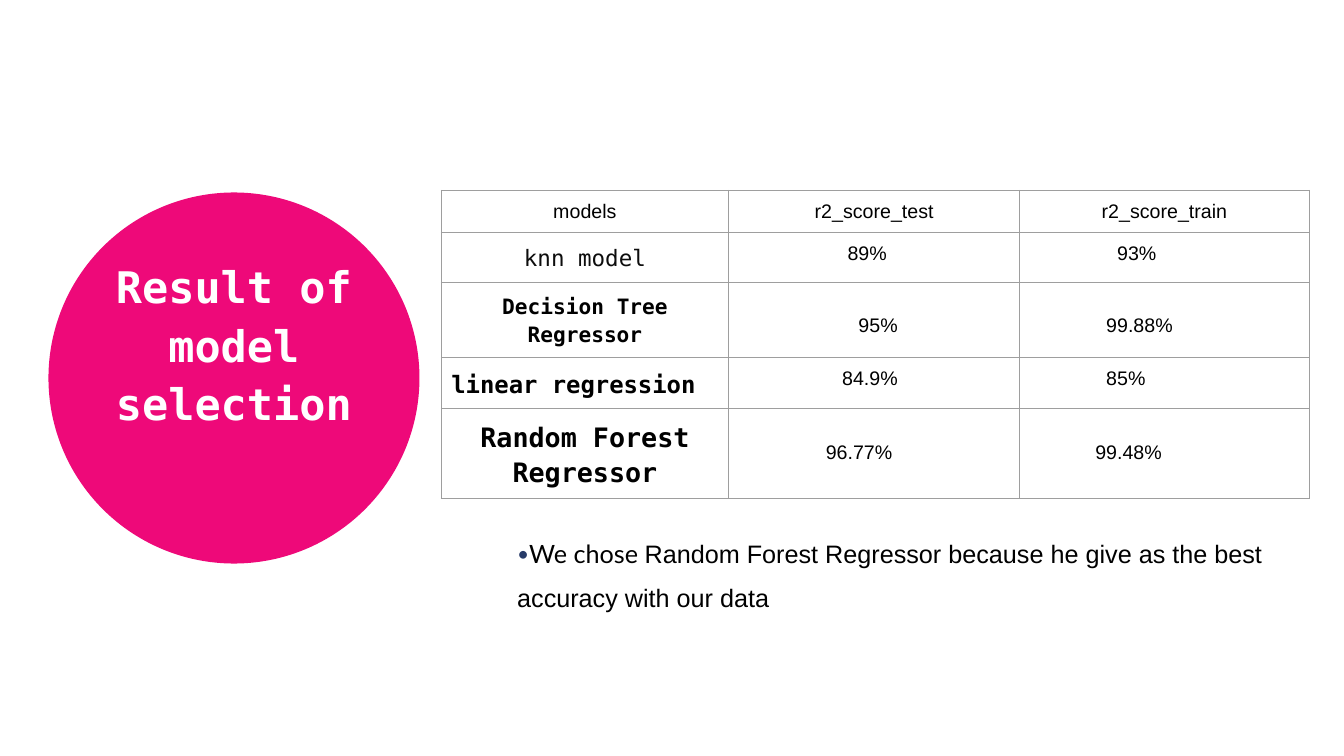
from lxml import etree
from pptx import Presentation
from pptx.dml.color import RGBColor
from pptx.enum.shapes import MSO_SHAPE
from pptx.enum.text import MSO_ANCHOR, MSO_AUTO_SIZE, PP_ALIGN
from pptx.oxml.ns import qn
from pptx.util import Pt

CENTER, LEFT = PP_ALIGN.CENTER, PP_ALIGN.LEFT
TOP, MIDDLE = MSO_ANCHOR.TOP, MSO_ANCHOR.MIDDLE
NO_AUTOFIT = MSO_AUTO_SIZE.NONE
ELLIPSE = MSO_SHAPE.OVAL
MONO, SANS, LATO = "DejaVu Sans Mono", "Arial", "Lato"
BLACK, WHITE, PINK, GREY, NAVY = "000000", "FFFFFF", "EE0979", "9E9E9E", "273B68"

COLUMN_WIDTHS = [205.2, 208.1, 206.6]
ROW_HEIGHTS = [30.2, 35, 53.6, 36.4, 63.6]
HEADERS = ["models", "r2_score_test", "r2_score_train"]
CELL_MARGIN = 7.2
SCORE_LINE = 16.1  # height of one line of scores
# name, size, bold, colour, alignment, scores, score indents, lines above the scores
MODELS = [
    ("knn model", 16.1, False, "0D0D0D", CENTER, ("89%", "93%"), (77.8, 62.3), 0),
    ("Decision Tree Regressor", 15.1, True, BLACK, CENTER,
     ("95%", "99.88%"), (85.6, 54.5), 1),
    ("linear regression", 17.1, True, BLACK, LEFT,
     ("84.9%", "85%"), (73.9, 54.5), 0),
    ("Random Forest Regressor", 19.1, True, BLACK, CENTER,
     ("96.77%", "99.48%"), (62.3, 46.7), 1),
]


def color(hex_string):
    return RGBColor.from_string(hex_string)


def format_run(run, size, font, hex_string, bold=False):
    run.font.size = Pt(size)
    run.font.name = font
    run.font.bold = bold
    run.font.color.rgb = color(hex_string)


def place(shape, left, top, width, height):
    shape.left, shape.top = Pt(left), Pt(top)
    shape.width, shape.height = Pt(width), Pt(height)


def prepare_frame(shape, anchor):
    """Remove the inner margins and fix the text size."""
    frame = shape.text_frame
    frame.word_wrap = True
    frame.auto_size = NO_AUTOFIT
    frame.vertical_anchor = anchor
    frame.margin_left = frame.margin_right = 0
    frame.margin_top = frame.margin_bottom = 0
    return frame


def add_circle(slide):
    circle = slide.shapes.add_shape(ELLIPSE, Pt(34.6), Pt(137.5), Pt(265), Pt(265))
    circle.shadow.inherit = False
    circle.fill.solid()
    circle.fill.fore_color.rgb = color(PINK)
    circle.line.fill.background()


def fill_title(slide):
    title = slide.shapes.title
    slide.shapes._spTree.append(title._element)  # in front of the circle
    place(title, 77, 179, 180, 130)
    frame = prepare_frame(title, MIDDLE)
    frame.text = "Result of model selection"
    para = frame.paragraphs[0]
    para.alignment = CENTER
    para.line_spacing = 1.12
    format_run(para.runs[0], 31.1, MONO, WHITE, True)


def add_bullet(para, hex_string, percent, font):
    properties = para._p.get_or_add_pPr()
    properties.set("marL", "0")
    properties.set("indent", "0")
    bullet_color = etree.SubElement(properties, qn("a:buClr"))
    etree.SubElement(bullet_color, qn("a:srgbClr"), val=hex_string)
    etree.SubElement(properties, qn("a:buSzPct"), val=str(percent * 1000))
    etree.SubElement(properties, qn("a:buFont"), typeface=font)
    etree.SubElement(properties, qn("a:buChar"), char="•")


def fill_conclusion(slide):
    body = slide.placeholders[1]
    place(body, 369.4, 375, 566, 70)
    para = prepare_frame(body, TOP).paragraphs[0]
    para.alignment = LEFT
    para.line_spacing = 1.44
    para.space_before = Pt(0)
    add_bullet(para, NAVY, 83, LATO)
    for text, font in [
        ("We chose ", LATO),
        ("Random Forest Regressor because he give as the best accuracy with our data", SANS),
    ]:
        run = para.add_run()
        run.text = text
        format_run(run, 18, font, BLACK)


def add_borders(cell, hex_string, width):
    properties = cell._tc.get_or_add_tcPr()
    for position, side in enumerate(["lnL", "lnR", "lnT", "lnB"]):
        line = etree.Element(qn("a:" + side), w=str(Pt(width)))
        fill = etree.SubElement(line, qn("a:solidFill"))
        etree.SubElement(fill, qn("a:srgbClr"), val=hex_string)
        properties.insert(position, line)


def fill_cell(cell, text, size=14, font=SANS, hex_string=BLACK, bold=False,
              alignment=CENTER, spacing=1, indent=0, drop=0):
    cell.fill.background()
    add_borders(cell, GREY, 0.75)
    cell.margin_left, cell.margin_right = Pt(CELL_MARGIN + indent), Pt(CELL_MARGIN)
    cell.margin_top, cell.margin_bottom = Pt(CELL_MARGIN + drop), Pt(CELL_MARGIN)
    cell.vertical_anchor = TOP
    cell.text_frame.text = text
    para = cell.text_frame.paragraphs[0]
    para.alignment = alignment
    para.line_spacing = spacing
    format_run(para.runs[0], size, font, hex_string, bold)


def add_score_table(slide):
    frame = slide.shapes.add_table(
        len(ROW_HEIGHTS), len(COLUMN_WIDTHS), Pt(315.2), Pt(136),
        Pt(sum(COLUMN_WIDTHS)), Pt(sum(ROW_HEIGHTS)))
    table = frame.table
    table.first_row = table.horz_banding = False
    for column, width in zip(table.columns, COLUMN_WIDTHS):
        column.width = Pt(width)
    for row, height in zip(table.rows, ROW_HEIGHTS):
        row.height = Pt(height)
    for index, header in enumerate(HEADERS):
        fill_cell(table.cell(0, index), header)
    for row, model in enumerate(MODELS, start=1):
        name, size, bold, hex_string, alignment, scores, indents, lines = model
        fill_cell(table.cell(row, 0), name, size, MONO, hex_string, bold, alignment, 1.12)
        for column, (score, indent) in enumerate(zip(scores, indents), start=1):
            fill_cell(table.cell(row, column), score, alignment=LEFT,
                      indent=indent, drop=lines * SCORE_LINE)


def main():
    deck = Presentation()
    deck.slide_width, deck.slide_height = Pt(960), Pt(540)
    slide = deck.slides.add_slide(deck.slide_layouts[1])
    add_circle(slide)
    fill_title(slide)
    fill_conclusion(slide)
    add_score_table(slide)
    deck.save("out.pptx")


if __name__ == "__main__":
    main()
